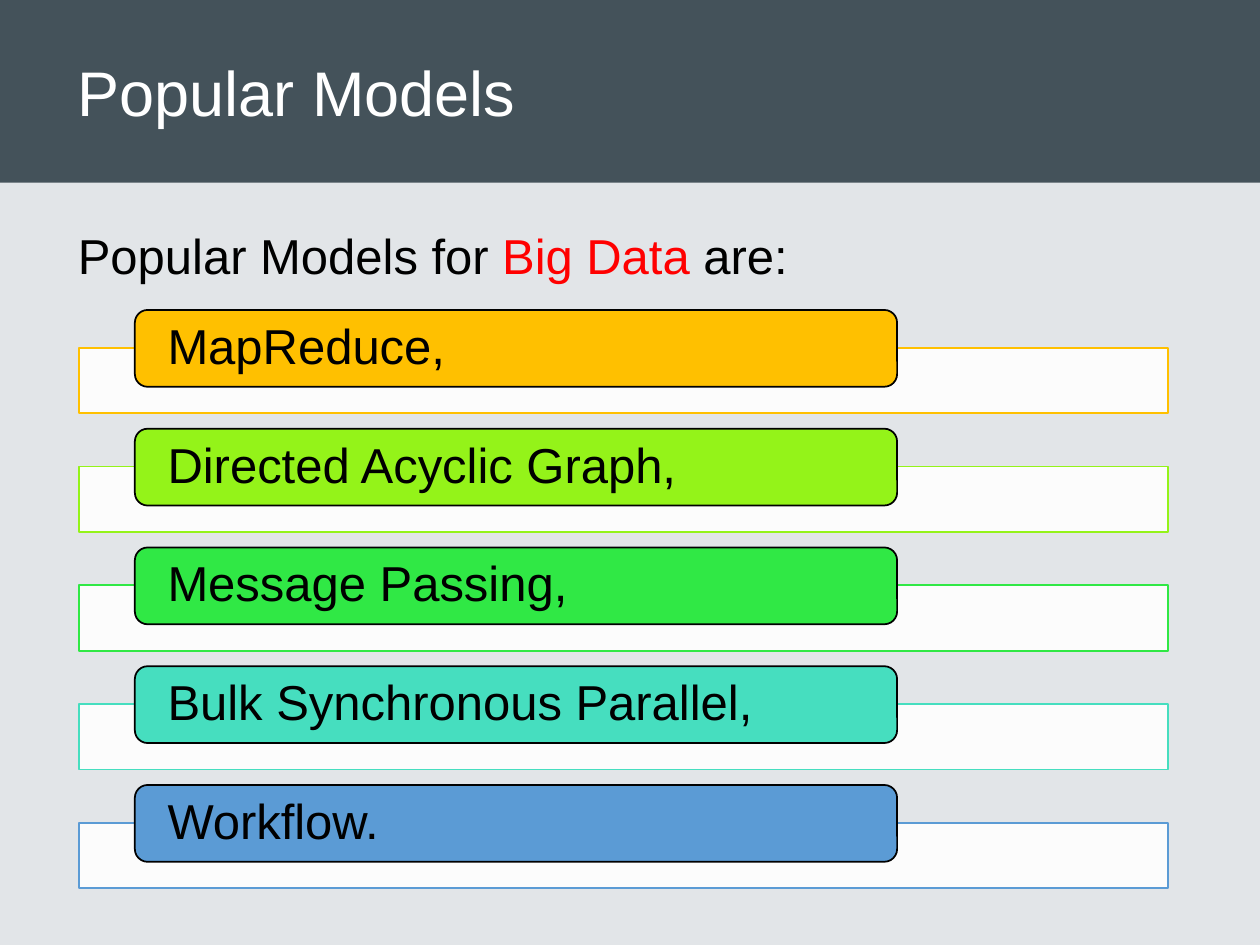
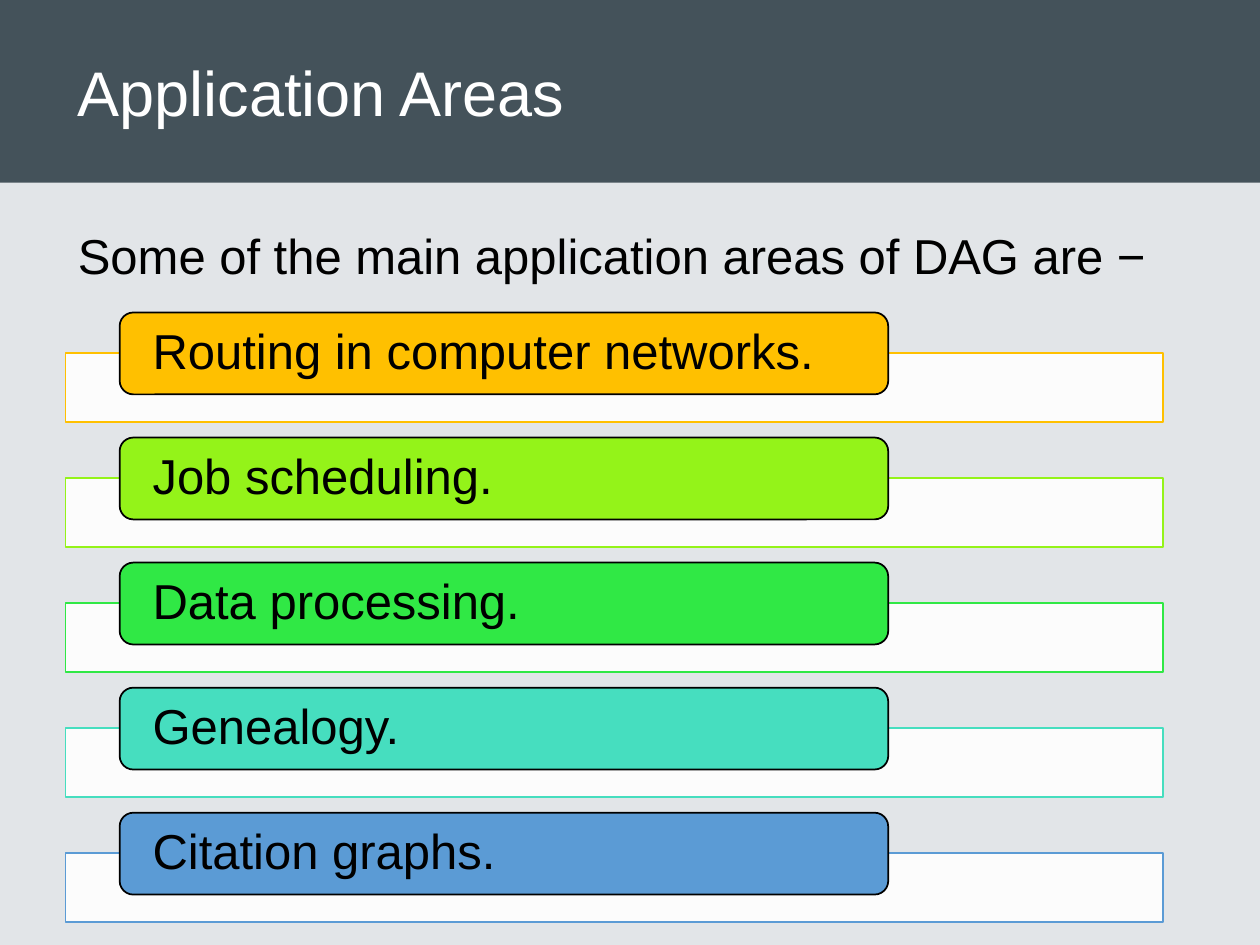
"""Build two slides that list computing models and application areas."""
import lxml.etree
import pptx
import pptx.dml.color
import pptx.enum.shapes
import pptx.enum.text
import pptx.oxml.ns
import pptx.util

Inches = pptx.util.Inches
RGBColor = pptx.dml.color.RGBColor
MSO_SHAPE = pptx.enum.shapes.MSO_SHAPE
MSO_ANCHOR = pptx.enum.text.MSO_ANCHOR
PP_ALIGN = pptx.enum.text.PP_ALIGN

BACKGROUND = RGBColor(0xE2, 0xE5, 0xE8)
BAND = RGBColor(0x44, 0x52, 0x5A)
WHITE = RGBColor(0xFF, 0xFF, 0xFF)
BLACK = RGBColor(0x00, 0x00, 0x00)
RED = RGBColor(0xFF, 0x00, 0x00)
ITEM_COLORS = [
    RGBColor(0xFF, 0xC0, 0x00),
    RGBColor(0x94, 0xF3, 0x19),
    RGBColor(0x30, 0xE8, 0x45),
    RGBColor(0x46, 0xDE, 0xBF),
    RGBColor(0x5B, 0x9B, 0xD5),
]

SLIDES = [
    dict(
        title="Popular Models",
        intro=[("Popular Models for ", BLACK), ("Big Data ", RED), ("are:", BLACK)],
        align=PP_ALIGN.LEFT,
        items=["MapReduce,", "Directed Acyclic Graph,", "Message Passing,",
               "Bulk Synchronous Parallel,", "Workflow."],
        bar_left=0.63, bar_width=8.64, bar_height=0.52, bar_drop=0.3,
        label_left=1.07, label_width=6.05, label_height=0.61,
        first_top=2.46, last_top=6.23,
    ),
    dict(
        title="Application Areas",
        intro=[("Some of the main application areas of DAG are −", BLACK)],
        align=PP_ALIGN.JUSTIFY,
        items=["Routing in computer networks.", "Job scheduling.", "Data processing.",
               "Genealogy.", "Citation graphs."],
        bar_left=0.52, bar_width=8.71, bar_height=0.55, bar_drop=0.32,
        label_left=0.95, label_width=6.1, label_height=0.65,
        first_top=2.48, last_top=6.45,
    ),
]


def write_text(shape, runs, size=28, align=PP_ALIGN.LEFT, spacing=1.0,
               anchor=MSO_ANCHOR.MIDDLE, margins=(0.1, 0.05)):
    frame = shape.text_frame
    frame.word_wrap = True
    frame.vertical_anchor = anchor
    frame.margin_left = frame.margin_right = Inches(margins[0])
    frame.margin_top = frame.margin_bottom = Inches(margins[1])
    paragraph = frame.paragraphs[0]
    paragraph.alignment = align
    paragraph.line_spacing = spacing
    for text, color in runs:
        run = paragraph.add_run()
        run.text = text
        run.font.name = "Arial"
        run.font.size = pptx.util.Pt(size)
        run.font.color.rgb = color


def add_block(slide, kind, left, top, width, height, fill, line=None):
    shape = slide.shapes.add_shape(
        kind, Inches(left), Inches(top), Inches(width), Inches(height))
    shape.shadow.inherit = False
    shape.fill.solid()
    shape.fill.fore_color.rgb = fill
    if line is None:
        shape.line.fill.background()
    else:
        shape.line.color.rgb = line
        shape.line.width = pptx.util.Pt(1)
    return shape


presentation = pptx.Presentation()
presentation.slide_width = Inches(10)
presentation.slide_height = Inches(7.5)

for content in SLIDES:
    slide = presentation.slides.add_slide(presentation.slide_layouts[6])
    slide.background.fill.solid()
    slide.background.fill.fore_color.rgb = BACKGROUND

    add_block(slide, MSO_SHAPE.RECTANGLE, 0, 0, 10, 1.45, BAND)
    intro = slide.shapes.add_textbox(Inches(0.52), Inches(1.51), Inches(9), Inches(5.87))
    write_text(intro, content["intro"], align=content["align"], spacing=1.5,
               anchor=MSO_ANCHOR.TOP)
    title = slide.shapes.add_textbox(Inches(0.52), 0, Inches(9.48), Inches(1.45))
    write_text(title, [(content["title"], WHITE)], size=36)

    pitch = (content["last_top"] - content["first_top"]) / (len(content["items"]) - 1)
    for index, (item, color) in enumerate(zip(content["items"], ITEM_COLORS)):
        top = content["first_top"] + index * pitch
        bar = add_block(slide, MSO_SHAPE.RECTANGLE, content["bar_left"],
                        top + content["bar_drop"], content["bar_width"],
                        content["bar_height"], WHITE, color)
        bar_color = bar.fill._xPr.find(".//" + pptx.oxml.ns.qn("a:srgbClr"))
        lxml.etree.SubElement(bar_color, pptx.oxml.ns.qn("a:alpha"), val="90000")
        label = add_block(slide, MSO_SHAPE.ROUNDED_RECTANGLE, content["label_left"], top,
                          content["label_width"], content["label_height"], color, BLACK)
        write_text(label, [(item, BLACK)], spacing=0.9, margins=(0.23, 0))

presentation.save("out.pptx")
